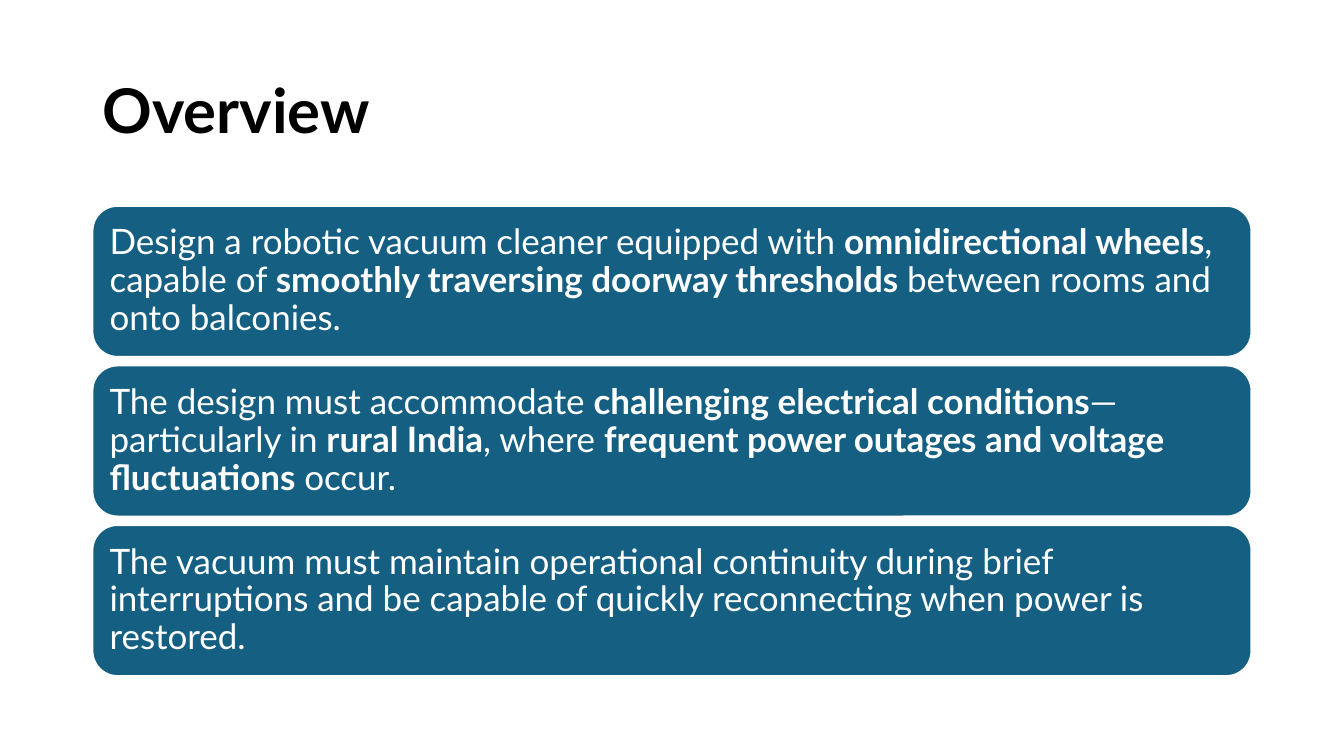
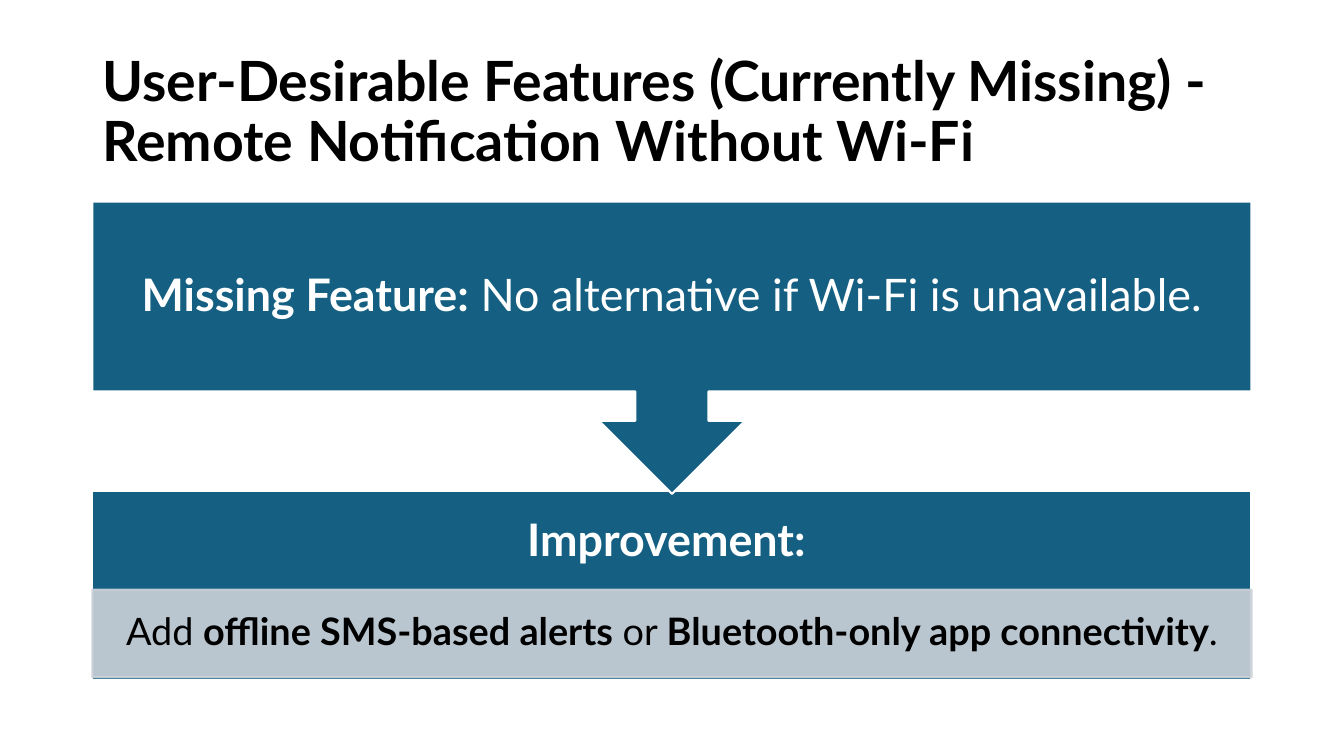
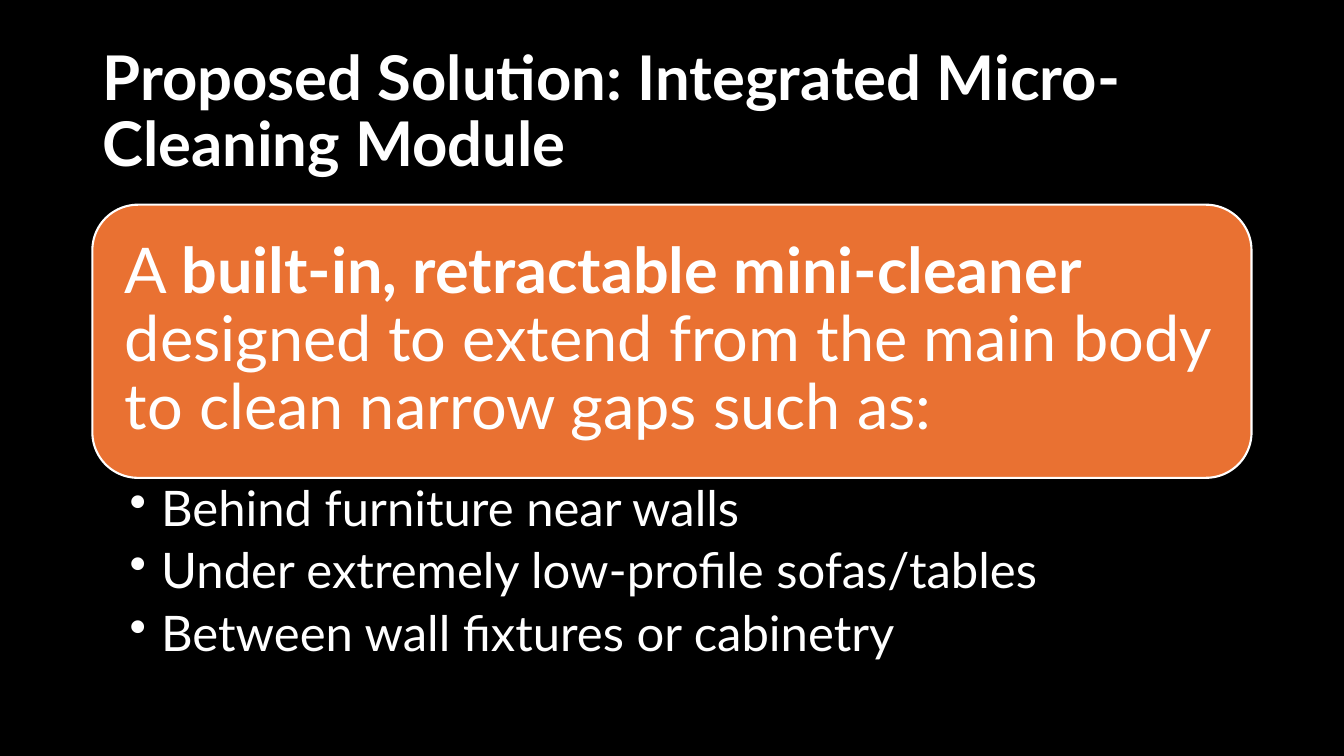
from dataclasses import dataclass

from pptx import Presentation
from pptx.dml import color
from pptx.enum import shapes, text
from pptx.oxml import xmlchemy
from pptx.util import Pt

COLORS = {"white": "FFFFFF", "black": "000000", "blue": "156082",
          "mist": "CCD2D8", "orange": "E97132"}
FONT = "Lato"
LEFT, WIDTH = 66, 828
SHAPE = shapes.MSO_SHAPE
LEFT_ALIGN, CENTER = text.PP_ALIGN.LEFT, text.PP_ALIGN.CENTER


@dataclass
class Panel:
    """A filled shape with text; ** switches bold on and off."""
    kind: shapes.MSO_SHAPE
    top: float
    height: float
    words: str
    size: float
    insets: tuple[float, float, float, float]  # left, top, right, bottom
    fill: str = "blue"
    line: str = "white"
    ink: str = "white"
    align: text.PP_ALIGN = LEFT_ALIGN
    opacity: int = 100


def rgb(name: str) -> color.RGBColor:
    return color.RGBColor.from_string(COLORS[name])


def set_all(target, values: dict) -> None:
    for key, value in values.items():
        setattr(target, key, value)


def format_frame(frame, anchor, insets) -> None:
    set_all(frame, {"word_wrap": True, "auto_size": text.MSO_AUTO_SIZE.NONE,
                    "vertical_anchor": anchor})
    sides = ("margin_left", "margin_top", "margin_right", "margin_bottom")
    set_all(frame, {side: Pt(gap) for side, gap in zip(sides, insets)})


def write(paragraph, words: str, size: float, ink: str, align=LEFT_ALIGN) -> None:
    set_all(paragraph, {"alignment": align, "line_spacing": 0.9})
    for number, part in enumerate(words.split("**")):
        if part:
            run = paragraph.add_run()
            run.text = part
            set_all(run.font, {"name": FONT, "size": Pt(size), "bold": number % 2 == 1})
            run.font.color.rgb = rgb(ink)


def set_opacity(fill_parent, percent: int) -> None:
    """Add an alpha value to the solid fill directly under an element."""
    solid = fill_parent.find("{*}solidFill/{*}srgbClr")
    alpha = xmlchemy.OxmlElement("a:alpha")
    alpha.set("val", str(percent * 1000))
    solid.append(alpha)


def add_titled_slide(deck, heading: str, size: float, paper="white", ink="black"):
    slide = deck.slides.add_slide(deck.slide_layouts[5])
    slide.background.fill.solid()
    slide.background.fill.fore_color.rgb = rgb(paper)
    title = slide.shapes.title
    set_all(title, {"left": Pt(LEFT), "top": Pt(28.8),
                    "width": Pt(WIDTH), "height": Pt(104.4)})
    format_frame(title.text_frame, text.MSO_ANCHOR.MIDDLE, (7.2, 3.6, 7.2, 3.6))
    write(title.text_frame.paragraphs[0], f"**{heading}**", size, ink)
    return slide


def add_panel(slide, panel: Panel) -> None:
    box = slide.shapes.add_shape(panel.kind, Pt(LEFT), Pt(panel.top),
                                 Pt(WIDTH), Pt(panel.height))
    box.shadow.inherit = False
    box.fill.solid()
    box.fill.fore_color.rgb = rgb(panel.fill)
    box.line.width = Pt(1.5)
    box.line.color.rgb = rgb(panel.line)
    if panel.opacity < 100:
        properties = box.fill.fore_color and box._element.spPr
        for parent in (properties, properties.find("{*}ln")):
            set_opacity(parent, panel.opacity)
    format_frame(box.text_frame, text.MSO_ANCHOR.MIDDLE, panel.insets)
    write(box.text_frame.paragraphs[0], panel.words, panel.size, panel.ink, panel.align)


def add_bullets(slide, top: float, height: float, items: list[str], size: float) -> None:
    box = slide.shapes.add_textbox(Pt(LEFT), Pt(top), Pt(WIDTH), Pt(height))
    frame = box.text_frame
    format_frame(frame, text.MSO_ANCHOR.TOP, (26.6, 4.3, 25.2, 4.3))
    for number, item in enumerate(items):
        paragraph = frame.add_paragraph() if number else frame.paragraphs[0]
        write(paragraph, item, size, "white")
        paragraph.space_after = Pt(size * 0.2)
        properties = paragraph._p.get_or_add_pPr()
        properties.set("marL", str(Pt(22.5)))
        properties.set("indent", str(-Pt(22.5)))
        bullet = xmlchemy.OxmlElement("a:buChar")
        bullet.set("char", "•")
        properties.append(bullet)


def build_overview(deck) -> None:
    goals = [
        "Design a robotic vacuum cleaner equipped with **omnidirectional wheels**, capable of "
        "**smoothly traversing doorway thresholds** between rooms and onto balconies.",
        "The design must accommodate **challenging electrical conditions**—particularly in "
        "**rural India**, where **frequent power outages and voltage fluctuations** occur.",
        "The vacuum must maintain operational continuity during brief interruptions and be "
        "capable of quickly reconnecting when power is restored.",
    ]
    slide = add_titled_slide(deck, "Overview", 44)
    height, gap = 108, 6
    for row, goal in enumerate(goals):
        add_panel(slide, Panel(SHAPE.ROUNDED_RECTANGLE, 147 + row * (height + gap), height,
                               goal, 25, (7.2,) * 4))


def build_notification(deck) -> None:
    slide = add_titled_slide(
        deck, "User-Desirable Features (Currently Missing) - "
        "Remote Notification Without Wi-Fi", 39.6)
    # The deep bottom inset leaves room for the detail strip
    add_panel(slide, Panel(SHAPE.RECTANGLE, 350.6, 135.4, "**Improvement: **", 32,
                           (18, 18, 18, 80), align=CENTER))
    add_panel(slide, Panel(
        SHAPE.RECTANGLE, 421.2, 62.6,
        "Add **offline SMS-based alerts** or **Bluetooth-only app connectivity**.", 27,
        (15, 3, 15, 3), "mist", "mist", "black", CENTER, 90))
    add_panel(slide, Panel(
        SHAPE.DOWN_ARROW_CALLOUT, 144, 208.8,
        "**Missing Feature:** No alternative if Wi-Fi is unavailable.", 32,
        (18,) * 4, align=CENTER))


def build_solution(deck) -> None:
    slide = add_titled_slide(deck, "Proposed Solution: Integrated Micro-Cleaning Module",
                             44, "black", "white")
    add_panel(slide, Panel(
        SHAPE.ROUNDED_RECTANGLE, 146.2, 195.1,
        "A **built-in, retractable mini-cleaner** designed to extend from the main body "
        "to clean narrow gaps such as:", 45, (13.7,) * 4, "orange"))
    add_bullets(slide, 341.3, 143.3, [
        "Behind furniture near walls",
        "Under extremely low-profile sofas/tables",
        "Between wall fixtures or cabinetry",
    ], 35)


def main() -> None:
    deck = Presentation()
    set_all(deck, {"slide_width": Pt(960), "slide_height": Pt(540)})
    for build in (build_overview, build_notification, build_solution):
        build(deck)
    deck.save("out.pptx")


if __name__ == "__main__":
    main()
